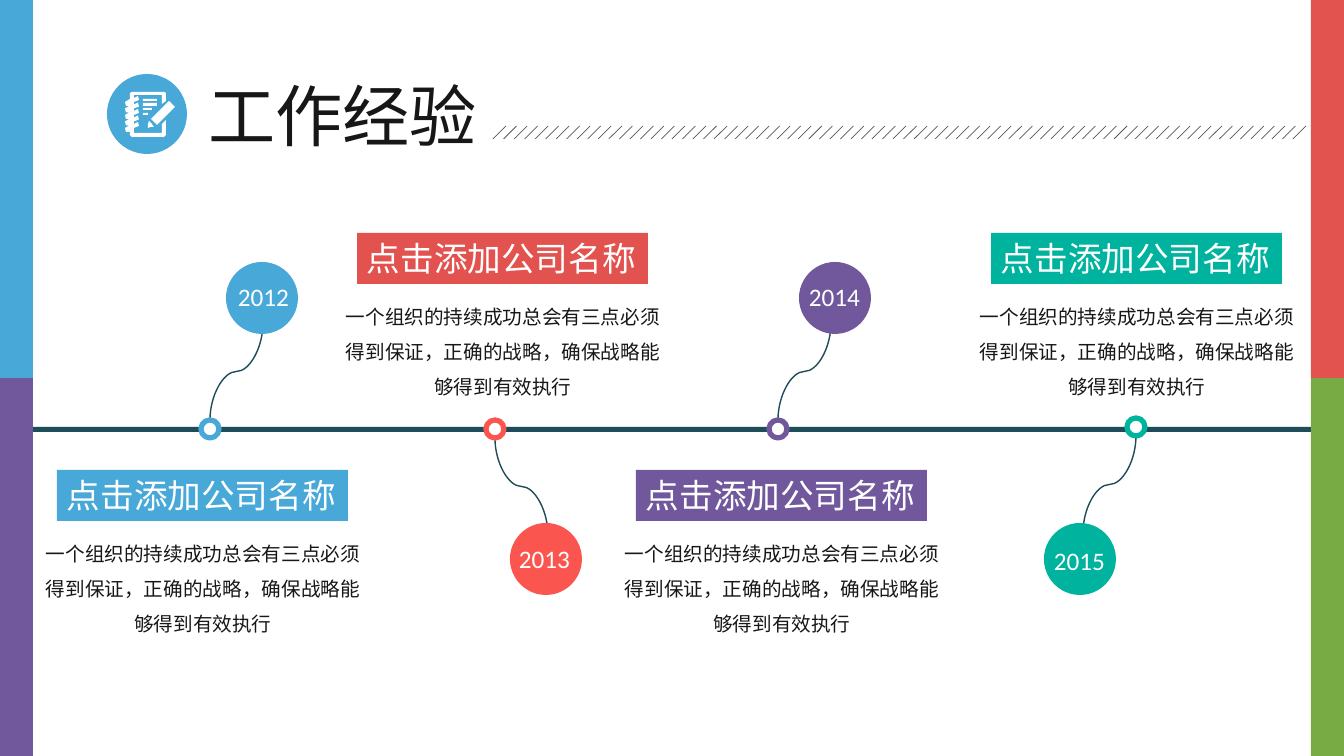
from dataclasses import dataclass

from lxml import etree
from pptx import Presentation
from pptx.dml.color import RGBColor
from pptx.enum.shapes import MSO_CONNECTOR, MSO_SHAPE
from pptx.enum.text import MSO_ANCHOR, MSO_AUTO_SIZE, PP_ALIGN
from pptx.oxml.ns import qn
from pptx.util import Emu, Pt

PX_PER_INCH = 100.8
SLIDE_W, SLIDE_H = 1344, 756
STRIPE_W = 33
RING, BUBBLE = 18, 72
CURVE_W, CURVE_H = 53, 97


@dataclass(frozen=True)
class Theme:
    blue: str = "48A8D8"
    purple: str = "71589C"
    red: str = "E2534F"
    coral: str = "FB5550"
    teal: str = "00B39F"
    green: str = "78AB44"
    navy: str = "1F4C59"
    grey: str = "58595B"
    ink: str = "181717"
    white: str = "FFFFFF"
    cjk: str = "Noto Sans CJK SC"
    latin: str = "Calibri"
    title_size: int = 48
    company_size: int = 24
    year_size: int = 18
    duty_size: int = 14


THEME = Theme()
COMPANY = "点击添加公司名称"
DUTY = "一个组织的持续成功总会有三点必须得到保证，正确的战略，确保战略能够得到有效执行"


@dataclass(frozen=True)
class Job:
    year: str
    color: str
    banner_color: str
    ring: tuple
    bubble: tuple
    label: tuple
    banner: tuple


JOBS = (
    Job("2012", THEME.blue, THEME.blue, (201, 420), (226, 262), (228, 276), (57, 470)),
    Job("2013", THEME.coral, THEME.red, (486, 420), (510, 523), (509, 538), (357, 233)),
    Job("2014", THEME.purple, THEME.purple, (769, 420), (799, 262), (799, 276), (636, 470)),
    Job("2015", THEME.teal, THEME.teal, (1127, 418), (1044, 523), (1044, 540), (991, 233)),
)


def px(length):
    return Emu(round(length * 914400 / PX_PER_INCH))


def rgb(code):
    return RGBColor.from_string(code)


def add_block(shapes, kind, x, y, w, h, fill, outline=None):
    block = shapes.add_shape(kind, px(x), px(y), px(w), px(h))
    block.shadow.inherit = False
    block.fill.solid()
    block.fill.fore_color.rgb = rgb(fill)
    if outline:
        block.line.color.rgb = rgb(outline)
        block.line.width = Pt(3.75)
    else:
        block.line.fill.background()
    return block


def write(frame, text, size, color, face, align=PP_ALIGN.LEFT, wrap=False):
    frame.word_wrap = wrap
    frame.vertical_anchor = MSO_ANCHOR.TOP
    frame.auto_size = MSO_AUTO_SIZE.NONE
    frame.text = text
    paragraph = frame.paragraphs[0]
    paragraph.alignment = align
    font = paragraph.font
    font.size = Pt(size)
    font.color.rgb = rgb(color)
    font.name = face
    etree.SubElement(font._element, qn("a:ea"), typeface=face)
    return paragraph


def add_line(shapes, kind, x1, y1, x2, y2, color, width):
    line = shapes.add_connector(kind, px(x1), px(y1), px(x2), px(y2))
    line.line.color.rgb = rgb(color)
    line.line.width = Pt(width)
    etree.SubElement(line.element.spPr, qn("a:effectLst"))
    return line


def add_curve(shapes, top_x, top_y, bottom_x):
    """Draw an S-curve that leaves both of its ends vertically."""
    center_x, center_y = (top_x + bottom_x) / 2, top_y + CURVE_H / 2
    left, top = center_x - CURVE_H / 2, center_y - CURVE_W / 2
    curve = add_line(shapes, MSO_CONNECTOR.CURVE, left, top,
                     left + CURVE_H, top + CURVE_W, THEME.navy, 1)
    frame = curve.element.spPr.find(qn("a:xfrm"))
    if bottom_x < top_x:
        frame.set("rot", "5400000")
    else:
        frame.set("rot", "16200000")
        frame.set("flipH", "1")


def add_job(shapes, job):
    ring_x, ring_y = job.ring
    center = ring_x + RING / 2
    far = center + (CURVE_W if job.bubble[0] > ring_x else -CURVE_W)
    if job.bubble[1] < ring_y:
        add_curve(shapes, far, ring_y - CURVE_H, center)
    else:
        add_curve(shapes, center, ring_y + RING, far)
    add_block(shapes, MSO_SHAPE.OVAL, *job.ring, RING, RING, THEME.white, job.color)
    add_block(shapes, MSO_SHAPE.OVAL, *job.bubble, BUBBLE, BUBBLE, job.color)

    label_x, label_y = job.label
    year = shapes.add_textbox(px(label_x), px(label_y), px(BUBBLE), px(40))
    write(year.text_frame, job.year, THEME.year_size, THEME.white, THEME.latin)

    banner_x, banner_y = job.banner
    banner = add_block(shapes, MSO_SHAPE.RECTANGLE, banner_x, banner_y, 291, 51,
                       job.banner_color)
    write(banner.text_frame, COMPANY, THEME.company_size, THEME.white, THEME.cjk)
    duty = shapes.add_textbox(px(banner_x - 29), px(banner_y + 55), px(350), px(117))
    paragraph = write(duty.text_frame, DUTY, THEME.duty_size, THEME.ink, THEME.cjk,
                      PP_ALIGN.CENTER, wrap=True)
    paragraph.line_spacing = 1.5


def notebook_outlines():
    """Return the closed outlines of the notebook, its text lines and its pencil."""
    drops = [6.5 * ring for ring in range(5)]
    inner = [(x, y + drop) for drop in drops
             for x, y in ((134, 98), (138, 96), (139, 100), (134, 102))]
    outer = [(x, y + drop) for drop in reversed(drops)
             for x, y in ((130, 106), (126, 106), (125, 102), (130, 99))]
    cover = [(132, 92), (164, 92), (166, 93), (166, 101), (162, 104), (162, 95),
             (134, 95), *inner, (134, 133), (162, 133), (162, 124), (166, 120),
             (166, 135), (164, 137), (132, 137), (130, 135), *outer, (130, 93)]
    text_lines = [[(143, top), (right, top), (right, bottom), (143, bottom)]
                  for right, top, bottom in ((157, 99, 101), (157, 103, 106),
                                             (152, 108, 110), (148, 113, 115))]
    tip = [(148, 128), (151, 127), (154, 127), (152, 124), (149, 121), (148, 124)]
    pencil = [(169, 101), (151, 119), (157, 125), (175, 107)]
    return [cover, *text_lines, tip, pencil]


def add_notebook_icon(shapes):
    icon = shapes.add_group_shape().shapes
    add_block(icon, MSO_SHAPE.OVAL, 107, 74, 80, 80, THEME.blue)
    outlines = [[(px(x), px(y)) for x, y in outline] for outline in notebook_outlines()]
    builder = icon.build_freeform(*outlines[0][0])
    builder.add_line_segments(outlines[0][1:])
    for outline in outlines[1:]:
        builder.move_to(*outline[0])
        builder.add_line_segments(outline[1:])
    notebook = builder.convert_to_shape()
    notebook.shadow.inherit = False
    notebook.fill.solid()
    notebook.fill.fore_color.rgb = rgb(THEME.white)
    notebook.line.fill.background()


def add_hatching(shapes, first=493, last=1293, count=77):
    hatching = shapes.add_group_shape().shapes
    for i in range(count):
        x = first + (last - first) * i / (count - 1)
        add_line(hatching, MSO_CONNECTOR.STRAIGHT, x, 139, x + 13, 126, THEME.grey, 0.5)


def add_title(shapes):
    title = shapes.title
    title.left, title.top, title.width, title.height = map(px, (198, 69, 300, 92))
    write(title.text_frame, "工作经验", THEME.title_size, THEME.ink, THEME.cjk)


def main():
    deck = Presentation()
    deck.slide_width, deck.slide_height = px(SLIDE_W), px(SLIDE_H)
    shapes = deck.slides.add_slide(deck.slide_layouts[5]).shapes
    add_title(shapes)
    add_block(shapes, MSO_SHAPE.RECTANGLE, 0, 427, SLIDE_W, 5, THEME.navy)
    half = SLIDE_H // 2
    for x, colors in ((0, (THEME.blue, THEME.purple)),
                      (SLIDE_W - STRIPE_W, (THEME.red, THEME.green))):
        for row, color in enumerate(colors):
            add_block(shapes, MSO_SHAPE.RECTANGLE, x, row * half, STRIPE_W, half, color)
    add_notebook_icon(shapes)
    for job in JOBS:
        add_job(shapes, job)
    add_hatching(shapes)
    deck.save("out.pptx")


if __name__ == "__main__":
    main()
